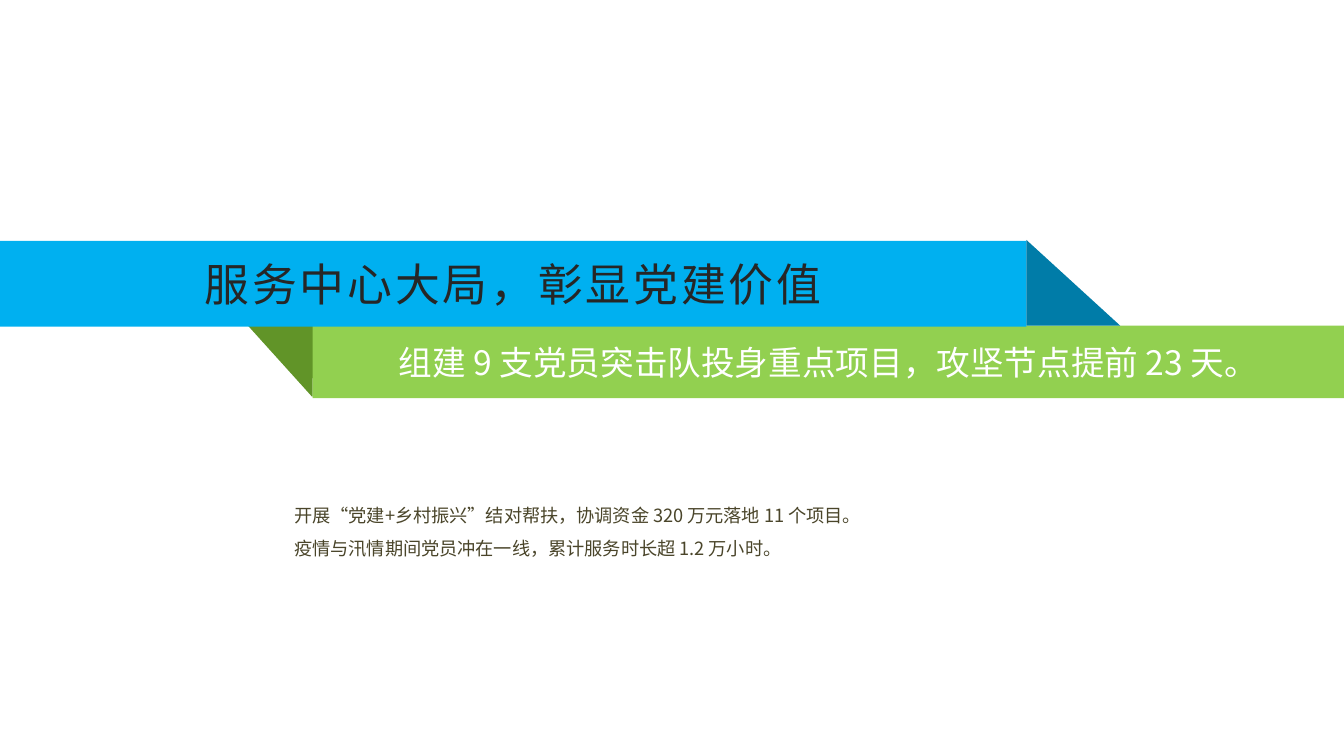
from lxml import etree
from pptx import Presentation
from pptx.dml.color import RGBColor
from pptx.enum.shapes import MSO_SHAPE as Shape
from pptx.enum.text import MSO_ANCHOR as Anchor, PP_ALIGN as Align
from pptx.oxml.ns import qn
from pptx.util import Inches, Pt

WHITE = RGBColor(0xFF, 0xFF, 0xFF)
BLUE = RGBColor(0x00, 0xB0, 0xF0)
DARK_BLUE = RGBColor(0x00, 0x7C, 0xA8)
GREEN = RGBColor(0x92, 0xD0, 0x50)
DARK_GREEN = RGBColor(0x61, 0x94, 0x28)
CHARCOAL = RGBColor(0x26, 0x26, 0x26)
OLIVE = RGBColor(0x4A, 0x45, 0x2A)


class RibbonSlide:
    font_name = "Noto Sans CJK SC"

    def __init__(self, slide):
        self.slide = slide

    def set_text(self, frame, *lines, size, color, align=Align.LEFT,
                 line_spacing=None, letter_spacing=0, side_inset=0.1, end_inset=0.05):
        """Fill a text frame with one paragraph per line; letter_spacing is in points."""
        frame.word_wrap = True
        frame.vertical_anchor = Anchor.MIDDLE
        frame.margin_left = frame.margin_right = Inches(side_inset)
        frame.margin_top = frame.margin_bottom = Inches(end_inset)
        for index, line in enumerate(lines):
            paragraph = frame.add_paragraph() if index else frame.paragraphs[0]
            paragraph.alignment = align
            if line_spacing:
                paragraph.line_spacing = Pt(line_spacing)
            run = paragraph.add_run()
            run.text = line
            run.font.size = Pt(size)
            run.font.color.rgb = color
            run.font.name = self.font_name
            properties = run._r.get_or_add_rPr()
            etree.SubElement(properties, qn("a:ea")).set("typeface", self.font_name)
            if letter_spacing:
                properties.set("spc", str(letter_spacing * 100))

    def paint(self, shape, color):
        shape.shadow.inherit = False
        shape.fill.solid()
        shape.fill.fore_color.rgb = color
        shape.line.fill.background()
        return shape

    def preset(self, kind, left, top, width, height, color):
        box = map(Inches, (left, top, width, height))
        return self.paint(self.slide.shapes.add_shape(kind, *box), color)

    def polygon(self, points, color):
        start, *others = [(Inches(x), Inches(y)) for x, y in points]
        builder = self.slide.shapes.build_freeform(*start)
        builder.add_line_segments(others, close=True)
        return self.paint(builder.convert_to_shape(), color)

    def band(self, left, top, width, height, fill, text, **text_format):
        shape = self.preset(Shape.RECTANGLE, left, top, width, height, fill)
        self.set_text(shape.text_frame, text, align=Align.CENTER, end_inset=0, **text_format)

    def text_box(self, left, top, width, height, *lines, **text_format):
        box = map(Inches, (left, top, width, height))
        self.set_text(self.slide.shapes.add_textbox(*box).text_frame, *lines, **text_format)


def main():
    presentation = Presentation()
    presentation.slide_width = Inches(13.33)
    presentation.slide_height = Inches(7.5)
    ribbon = RibbonSlide(presentation.slides.add_slide(presentation.slide_layouts[6]))

    ribbon.polygon([(2.45, 3.22), (3.1, 3.94), (3.11, 3.22)], DARK_GREEN)
    ribbon.band(3.1, 3.23, 10.23, 0.72, GREEN,
                "组建 9 支党员突击队投身重点项目，攻坚节点提前 23 天。",
                size=24, color=WHITE, side_inset=0.2)
    ribbon.band(0, 2.39, 10.18, 0.85, BLUE, "服务中心大局，彰显党建价值",
                size=32, color=CHARCOAL, letter_spacing=2, side_inset=0)
    ribbon.preset(Shape.RIGHT_TRIANGLE, 10.18, 2.38, 0.93, 0.85, DARK_BLUE)
    ribbon.text_box(2.82, 4.29, 7.55, 1.85,
                    "开展“党建+乡村振兴”结对帮扶，协调资金 320 万元落地 11 个项目。",
                    "疫情与汛情期间党员冲在一线，累计服务时长超 1.2 万小时。",
                    size=13, color=OLIVE, line_spacing=24)

    presentation.save("out.pptx")


if __name__ == "__main__":
    main()
